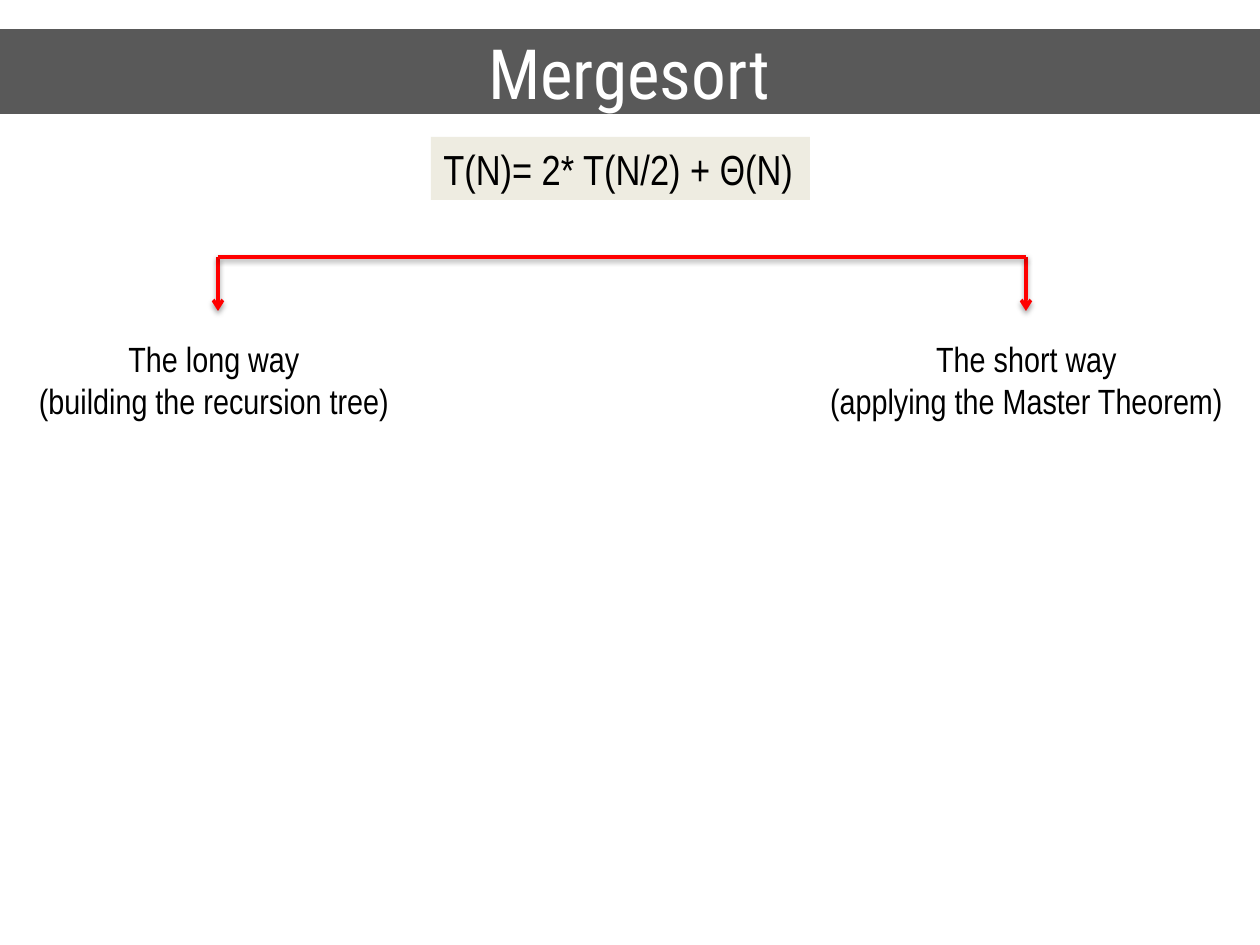
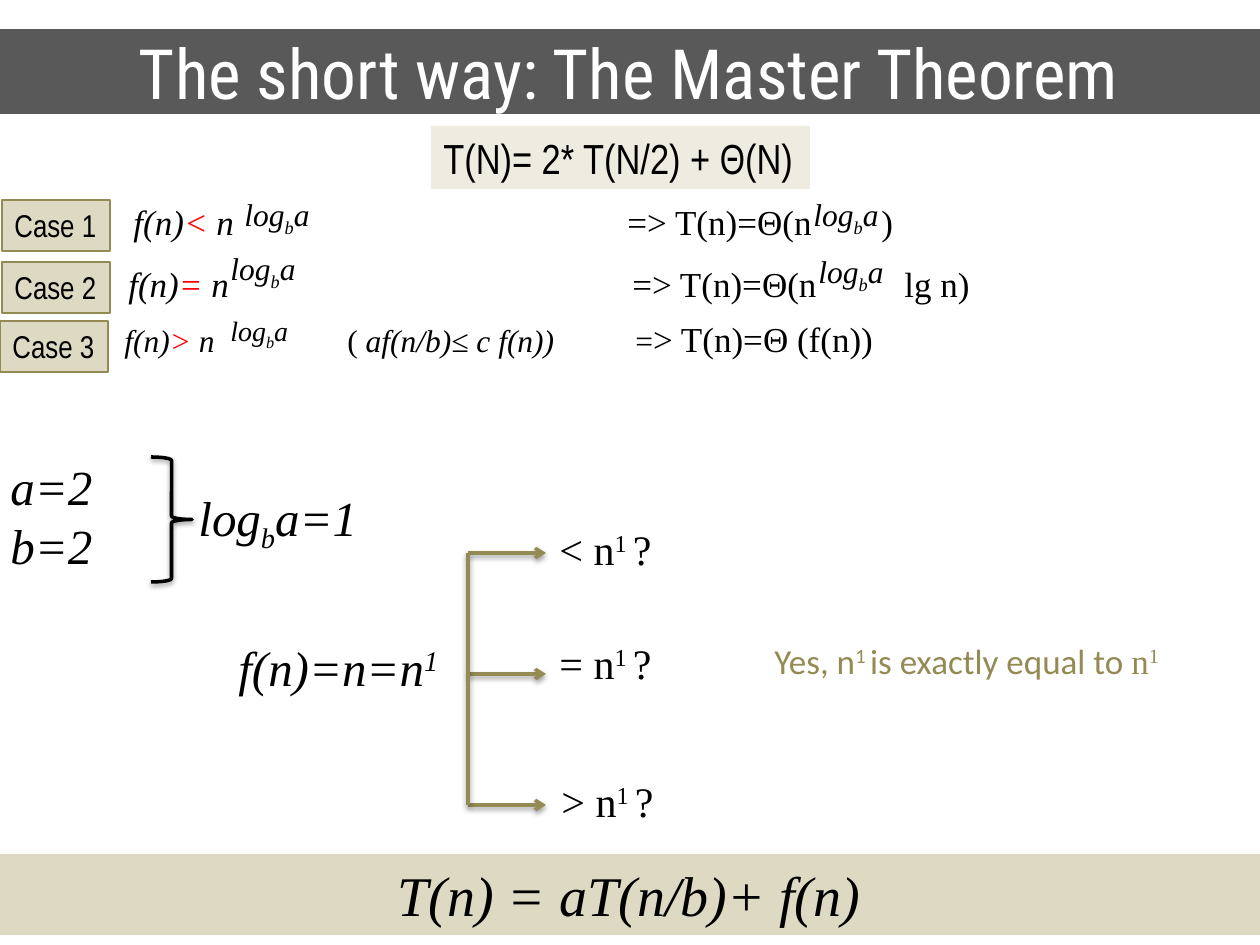
from lxml import etree
from pptx import Presentation
from pptx.dml.color import RGBColor
from pptx.enum.shapes import MSO_CONNECTOR, MSO_SHAPE
from pptx.enum.text import MSO_ANCHOR, MSO_AUTO_SIZE, PP_ALIGN
from pptx.oxml.ns import qn
from pptx.util import Emu, Pt

STRAIGHT = MSO_CONNECTOR.STRAIGHT
BRACE = MSO_SHAPE.RIGHT_BRACE
TOP, MIDDLE = MSO_ANCHOR.TOP, MSO_ANCHOR.MIDDLE
FIXED, GROW = MSO_AUTO_SIZE.NONE, MSO_AUTO_SIZE.SHAPE_TO_FIT_TEXT
LEFT, CENTER = PP_ALIGN.LEFT, PP_ALIGN.CENTER

WIDE, HIGH = 1260, 945
GRAY, CREAM, SAND, OLIVE = "595959", "EEECE1", "DDD9C3", "948A54"
RED, BLACK, WHITE = "FF0000", "000000", "FFFFFF"
HEAD, NARROW, SERIF, SANS = "Roboto Condensed", "Arial Narrow", "Times New Roman", "Calibri"

# A run is plain text, or text with what differs from its box.
SUB, SUP = {"base": -25000}, {"base": 30000}
PLAIN = {"italic": False}
LOG = ["log", ("b", SUB), "a"]


def px(n):
    return Emu(round(n * 914400 / 126))


def place(box):
    return [px(n) for n in box]


def rgb(code):
    return RGBColor.from_string(code)


def add_run(par, text, size, font, color=BLACK, italic=False, base=0):
    run = par.add_run()
    run.text = text
    run.font.size = Pt(size)
    run.font.name = font
    run.font.italic = italic
    run.font.color.rgb = rgb(color)
    if base:
        run.font._element.set("baseline", str(base))


def set_tabs(par, stops):
    tabs = etree.SubElement(par._p.get_or_add_pPr(), qn("a:tabLst"))
    for stop in stops:
        etree.SubElement(tabs, qn("a:tab"), pos=str(px(stop)), algn="l")


def write(slide, box, pars, size, font, align=LEFT, wrap=False,
          fill=None, edge=None, tabs=(), **style):
    shape = slide.shapes.add_textbox(*place(box))
    if fill:
        shape.fill.solid()
        shape.fill.fore_color.rgb = rgb(fill)
    if edge:
        shape.line.color.rgb = rgb(edge)
        shape.line.width = Pt(0.75)
    frame = shape.text_frame
    frame.word_wrap = wrap
    frame.auto_size = GROW
    frame.vertical_anchor = TOP
    for i, runs in enumerate(pars):
        par = frame.add_paragraph() if i else frame.paragraphs[0]
        par.alignment = align
        if tabs:
            set_tabs(par, tabs)
        for run in runs:
            text, diff = (run, {}) if isinstance(run, str) else run
            add_run(par, text, **{"size": size, "font": font, **style, **diff})


def add_shade(shape):
    """Give a line or outline its soft drop shadow."""
    effects = etree.SubElement(shape._element.spPr, qn("a:effectLst"))
    shade = etree.SubElement(effects, qn("a:outerShdw"), blurRad=str(Pt(3.1)),
                             dist=str(Pt(1.6)), dir="5400000", rotWithShape="0")
    tint = etree.SubElement(shade, qn("a:srgbClr"), val=BLACK)
    etree.SubElement(tint, qn("a:alpha"), val="38000")


def draw_line(slide, start, end, color, arrow=False):
    line = slide.shapes.add_connector(STRAIGHT, *place(start + end))
    line.line.color.rgb = rgb(color)
    line.line.width = Pt(2)
    if arrow:
        etree.SubElement(line.line._get_or_add_ln(), qn("a:tailEnd"), type="arrow")
    add_shade(line)


def fork(slide, starts, step, color):
    """Join the starts with a bar and send an arrow out of each."""
    for x, y in starts:
        draw_line(slide, (x, y), (x + step[0], y + step[1]), color, True)
    draw_line(slide, starts[0], starts[-1], color)


def new_slide(deck, text):
    slide = deck.slides.add_slide(deck.slide_layouts[5])
    title = slide.shapes.title
    title.left, title.top, title.width, title.height = place((-2, 29, 1262, 85))
    title.fill.solid()
    title.fill.fore_color.rgb = rgb(GRAY)
    frame = title.text_frame
    frame.auto_size = FIXED
    frame.vertical_anchor = MIDDLE
    frame.paragraphs[0].alignment = CENTER
    add_run(frame.paragraphs[0], text, 39.6, HEAD, WHITE)
    return slide


def formula(slide, top):
    write(slide, (431, top, 379, 63), [["T(N)= 2* T(N/2) + Θ(N)"]], 24, NARROW, fill=CREAM)


def ways(slide, box):
    x, y, w, h = box
    fork(slide, [(x + 193, y), (x + 1001, y)], (0, 54), RED)
    notes = [(0, 378, "The long way", "(building the recursion tree)"),
             (783, 437, "The short way", "(applying the Master Theorem)")]
    for left, wide, name, how in notes:
        write(slide, (x + left, y + 74, wide, h - 74), [[name], [how]], 20, NARROW, CENTER)


def cases(slide, box):
    x, y, w, h = box
    # label place, text place, size, tab stops, runs
    rows = [
        ((2, 11), (121, 5), 20, (494, 748),
         ["f(n)", ("<", {"color": RED}), " n\t", ("=> T(n)=Θ(n\t)", PLAIN)]),
        ((2, 73), (116, 67), 20, (504, 776),
         ["f(n)", ("=", {"color": RED}), " n\t", ("=> T(n)=Θ(n\tlg n)", PLAIN)]),
        ((0, 132), (112, 122), 18, (223, 511),
         ["f(n)", (">", {"color": RED}), " n\t", ("( ", PLAIN), "af(n/b)≤ c f(n))\t",
          ("=", PLAIN), ("> T(n)=Θ (f(n))", {**PLAIN, "size": 20})]),
    ]
    for i, (label, text, size, tabs, runs) in enumerate(rows, 1):
        write(slide, (x + label[0], y + label[1], 108, 51), [[f"Case {i}"]],
              18, NARROW, fill=SAND, edge=OLIVE)
        write(slide, (x + text[0], y + text[1], w - text[0], 55), [runs], size, SERIF,
              wrap=True, tabs=tabs, italic=True)
    powers = [(232, 0, 18), (218, 54, 18), (218, 118, 16), (801, 0, 18), (806, 57, 18)]
    for left, top, size in powers:
        write(slide, (x + left, y + top, 105, 50), [LOG], size, SERIF, italic=True)


def values(slide, box):
    x, y, w, h = box
    write(slide, (x, y, 150, h), [["a=2"], ["b=2"]], 28, SERIF, wrap=True, italic=True)
    brace = slide.shapes.add_shape(BRACE, *place((x + 153, y + 7, 41, 125)))
    brace.fill.background()
    brace.line.color.rgb = rgb(BLACK)
    brace.line.width = Pt(2)
    add_shade(brace)
    write(slide, (x + 188, y + 31, w - 188, 72), [LOG[:2] + ["a=1"]], 28, SERIF,
          wrap=True, italic=True)


def compare(slide, box):
    x, y, w, h = box
    write(slide, (x, y + 114, 243, 72), [["f(n)=n=n", ("1", SUP)]], 28, SERIF,
          wrap=True, italic=True)
    fork(slide, [(x + 242, y + top) for top in (36, 157, 288)], (78, 0), OLIVE)
    for sign, left, top in (("<", 321, 0), ("=", 321, 114), (">", 323, 252)):
        write(slide, (x + left, y + top, 121, 63),
              [[f"{sign} n", ("1 ", SUP), "?"]], 24, SERIF)
    write(slide, (x + 536, y + 116, w - 536, 55),
          [["Yes, n", ("1 ", SUP), "is exactly equal to ", ("n", {"font": SERIF}),
            ("1", {**SUP, "font": SERIF})]], 20, SANS, color=OLIVE)


def footer(slide):
    write(slide, (-2, 854, 1262, 81), [["T(n) = aT(n/b)+ f(n)"]], 32, SERIF, CENTER,
          wrap=True, fill=SAND, italic=True)


def main():
    deck = Presentation()
    deck.slide_width, deck.slide_height = px(WIDE), px(HIGH)

    slide = new_slide(deck, "Mergesort")
    formula(slide, 137)
    ways(slide, (25, 257, 1220, 171))

    slide = new_slide(deck, "The short way: The Master Theorem")
    formula(slide, 126)
    cases(slide, (0, 189, 1260, 184))
    values(slide, (-2, 450, 471, 131))
    compare(slide, (226, 517, 959, 315))
    footer(slide)

    deck.save("out.pptx")


if __name__ == "__main__":
    main()
